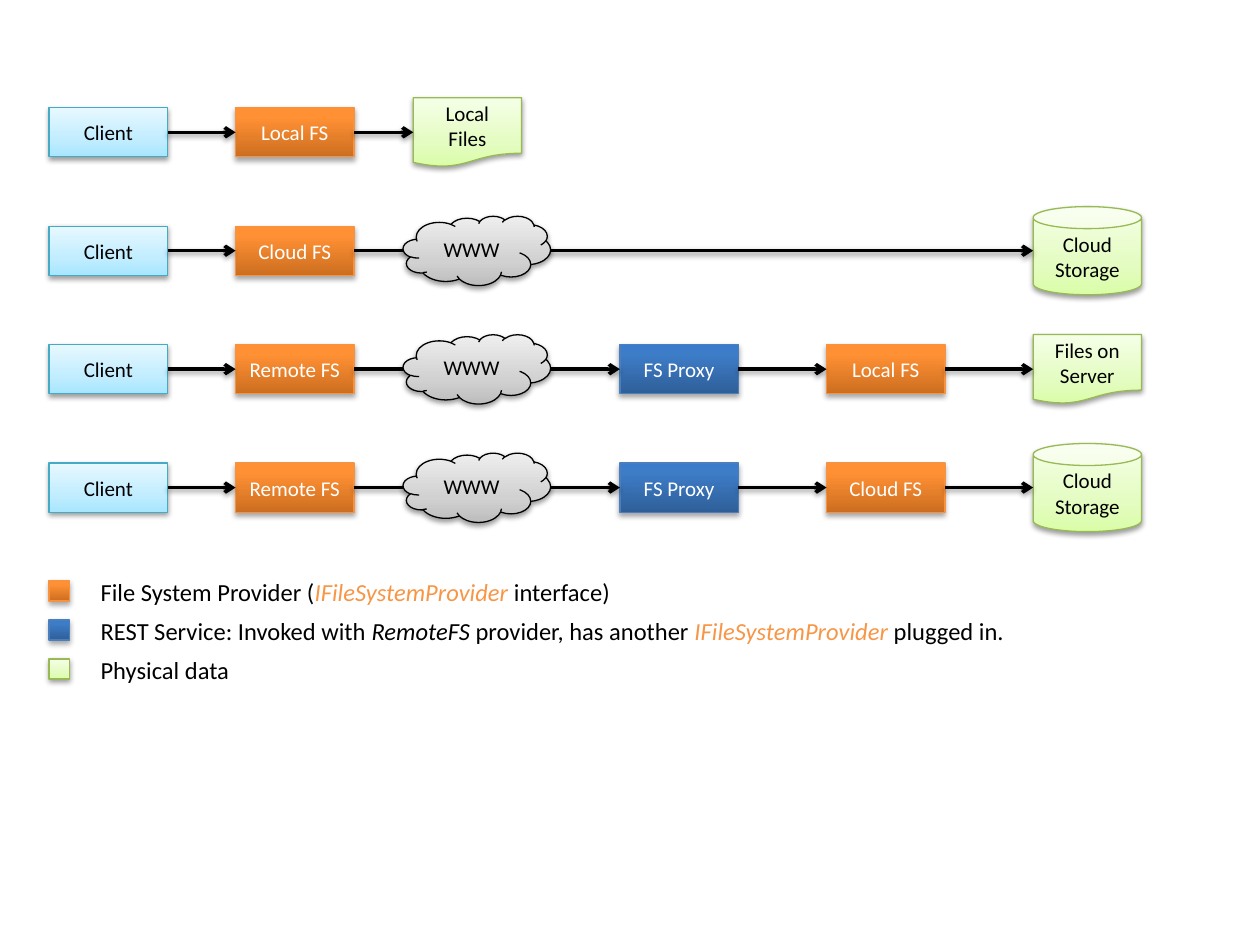
from lxml import etree
from pptx import Presentation
from pptx.dml.color import RGBColor
from pptx.enum.shapes import MSO_CONNECTOR, MSO_SHAPE
from pptx.enum.text import MSO_ANCHOR, PP_ALIGN
from pptx.oxml.ns import qn
from pptx.util import Inches, Pt

RECT, CAN, CLOUD = MSO_SHAPE.RECTANGLE, MSO_SHAPE.CAN, MSO_SHAPE.CLOUD
DOC = MSO_SHAPE.FLOWCHART_DOCUMENT
STRAIGHT = MSO_CONNECTOR.STRAIGHT
CENTER, MIDDLE = PP_ALIGN.CENTER, MSO_ANCHOR.MIDDLE
LEFT, RIGHT = 1, 3

BLACK = RGBColor(0, 0, 0)
WHITE = RGBColor(255, 255, 255)
ORANGE = RGBColor(0xF7, 0x96, 0x46)
FONT = "Calibri"

# Gradient stops (percent, colour), line, text colour, shadow (opacity, distance)
SOFT, DEEP = (38, 1.6), (35, 1.8)
LOOKS = {
    "client": ([(0, "A7E6FF"), (35, "C1EDFF"), (100, "E7F8FF")],
               RGBColor(0x46, 0xAA, 0xC5), BLACK, SOFT),
    "provider": ([(0, "CC6E20"), (80, "FF9034"), (100, "FF9136")],
                 RGBColor(0xF6, 0x92, 0x40), WHITE, DEEP),
    "service": ([(0, "2F5F99"), (80, "3D7CC7"), (100, "3A7CCB")],
                RGBColor(0x4B, 0x7E, 0xBC), WHITE, DEEP),
    "data": ([(0, "DAFDA7"), (35, "E4FCC2"), (100, "F5FFE7")],
             RGBColor(0x98, 0xB9, 0x55), BLACK, SOFT),
    "web": ([(0, "BDBDBD"), (35, "D1D1D1"), (100, "EEEEEE")],
            BLACK, BLACK, SOFT),
}
SIZES = {RECT: (0.94, 0.39), CAN: (0.86, 0.7), DOC: (0.86, 0.55),
         CLOUD: (1.17, 0.55)}

# Left edge of each column
CLIENT_X, FIRST_X, FILES_X, PROXY_X, SECOND_X, STORE_X = (
    0.39, 1.87, 3.28, 4.92, 6.56, 8.2)
WEB_X = 3.2
ROW_Y, ROW_STEP = 1.05, 0.94

CLIENT = (CLIENT_X, RECT, "client", "Client")
PROXY = (PROXY_X, RECT, "service", "FS Proxy")
STORE = (STORE_X, CAN, "data", "Cloud Storage")
REMOTE = (FIRST_X, RECT, "provider", "Remote FS")

# Nodes of each chain, and whether it passes through the web
CHAINS = [
    ([CLIENT, (FIRST_X, RECT, "provider", "Local FS"),
      (FILES_X, DOC, "data", "Local Files")], False),
    ([CLIENT, (FIRST_X, RECT, "provider", "Cloud FS"), STORE], True),
    ([CLIENT, REMOTE, PROXY, (SECOND_X, RECT, "provider", "Local FS"),
      (STORE_X, DOC, "data", "Files on Server")], True),
    ([CLIENT, REMOTE, PROXY, (SECOND_X, RECT, "provider", "Cloud FS"),
      STORE], True),
]

# Look, text width, runs (text, italic, colour)
LEGEND = [
    ("provider", 4.3, [("File System Provider (", False, BLACK),
                       ("IFileSystemProvider", True, ORANGE),
                       (" interface)", False, BLACK)]),
    ("service", 8.44, [("REST Service: Invoked with ", False, BLACK),
                       ("RemoteFS", True, BLACK),
                       (" provider, has another ", False, BLACK),
                       ("IFileSystemProvider", True, ORANGE),
                       (" plugged in.", False, BLACK)]),
    ("data", 4.3, [("Physical data", False, BLACK)]),
]
KEY_X, KEY_Y, KEY_STEP, KEY_SIZE = 0.39, 4.61, 0.31, 0.16
NOTE_X, NOTE_H = 0.7, 0.34


def add_color(parent, value):
    return etree.SubElement(parent, qn("a:srgbClr"), val=value)


def add_shadow(props, alpha, dist):
    effects = props.find(qn("a:effectLst"))
    if effects is None:
        effects = etree.SubElement(props, qn("a:effectLst"))
    outer = etree.SubElement(
        effects, qn("a:outerShdw"), blurRad=str(Pt(3.1)), dist=str(Pt(dist)),
        dir="5400000", rotWithShape="0")
    color = add_color(outer, "000000")
    etree.SubElement(color, qn("a:alpha"), val=str(alpha * 1000))


def add_box(slide, kind, look, left, top, width, height):
    stops, edge, _, shadow = LOOKS[look]
    box = slide.shapes.add_shape(
        kind, Inches(left), Inches(top), Inches(width), Inches(height))
    box.fill.gradient()
    box.fill.gradient_angle = 90
    props = box.element.spPr
    ramp = props.find(qn("a:gradFill")).find(qn("a:gsLst"))
    for old in list(ramp):
        ramp.remove(old)
    for place, value in stops:
        stop = etree.SubElement(ramp, qn("a:gs"), pos=str(place * 1000))
        add_color(stop, value)
    box.line.color.rgb = edge
    box.line.width = Pt(0.75)
    box.shadow.inherit = False
    add_shadow(props, *shadow)
    return box


def add_node(slide, left, kind, look, label, mid):
    width, height = SIZES[kind]
    node = add_box(slide, kind, look, left, mid - height / 2, width, height)
    frame = node.text_frame
    frame.word_wrap = True
    frame.vertical_anchor = MIDDLE
    para = frame.paragraphs[0]
    para.text = label
    para.alignment = CENTER
    para.font.name, para.font.size = FONT, Pt(12)
    para.font.color.rgb = LOOKS[look][2]
    return node


def add_arrow(slide, start, end, mid):
    arrow = slide.shapes.add_connector(
        STRAIGHT, start.left + start.width, Inches(mid), end.left, Inches(mid))
    arrow.begin_connect(start, RIGHT)
    if end.auto_shape_type != CAN:  # a can numbers its sides differently
        arrow.end_connect(end, LEFT)
    arrow.line.color.rgb = BLACK
    arrow.line.width = Pt(2)
    props = arrow.element.spPr
    etree.SubElement(props.find(qn("a:ln")), qn("a:tailEnd"), type="arrow")
    add_shadow(props, *SOFT)


def add_note(slide, top, width, runs):
    note = slide.shapes.add_textbox(
        Inches(NOTE_X), Inches(top), Inches(width), Inches(NOTE_H))
    note.text_frame.word_wrap = True
    para = note.text_frame.paragraphs[0]
    para.font.name, para.font.size = FONT, Pt(14)
    for text, italic, color in runs:
        run = para.add_run()
        run.text = text
        run.font.italic = italic
        run.font.color.rgb = color


def main():
    deck = Presentation()
    deck.slide_width, deck.slide_height = Inches(10), Inches(7.5)
    slide = deck.slides.add_slide(deck.slide_layouts[6])

    for row, (chain, online) in enumerate(CHAINS):
        mid = ROW_Y + row * ROW_STEP
        nodes = [add_node(slide, *part, mid) for part in chain]
        for start, end in zip(nodes, nodes[1:]):
            add_arrow(slide, start, end, mid)
        if online:
            add_node(slide, WEB_X, CLOUD, "web", "WWW", mid)

    for row, (look, width, runs) in enumerate(LEGEND):
        top = KEY_Y + row * KEY_STEP
        add_box(slide, RECT, look, KEY_X, top, KEY_SIZE, KEY_SIZE)
        add_note(slide, top + (KEY_SIZE - NOTE_H) / 2 + 0.01, width, runs)

    deck.save("out.pptx")


if __name__ == "__main__":
    main()
